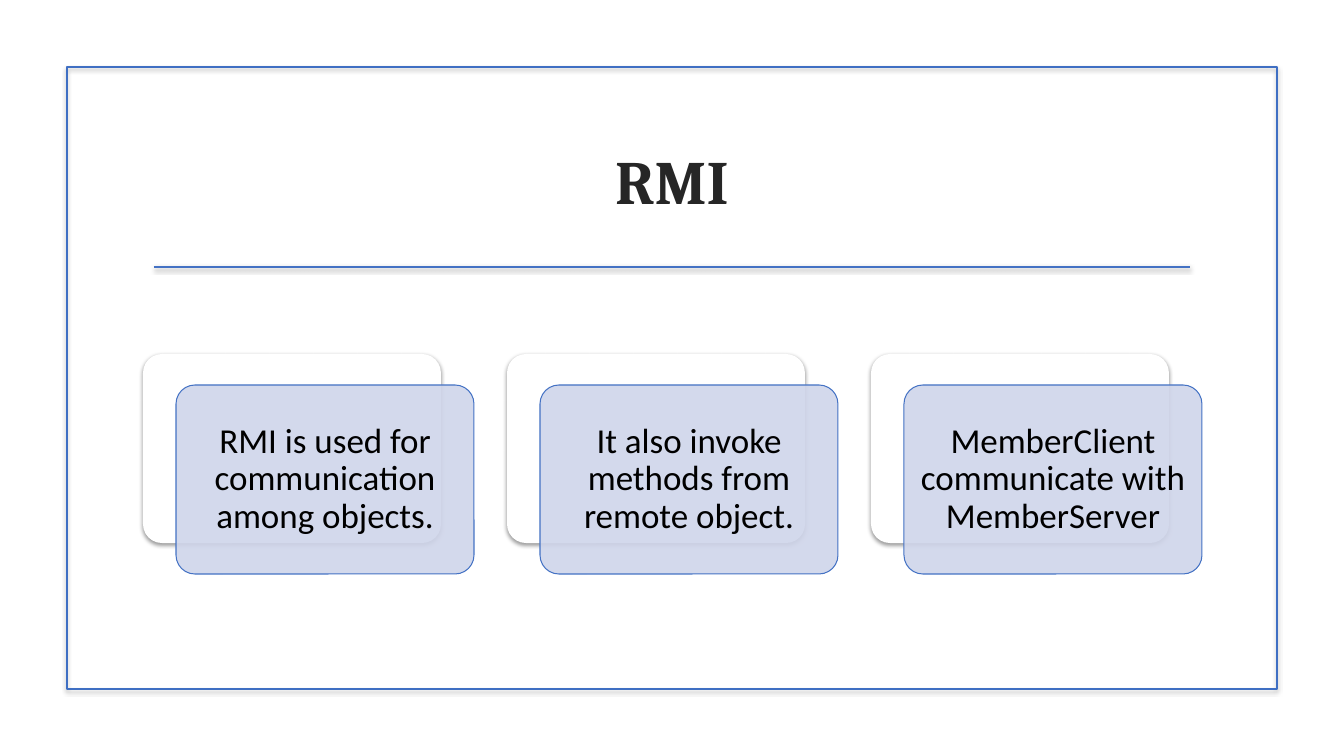
from lxml import etree
from pptx import Presentation
from pptx import util as u
from pptx.dml.color import RGBColor
from pptx.enum import shapes, text
from pptx.oxml import ns

BLUE = "4472C4"


def rgb(value):
    return RGBColor.from_string(value)


class Deck:
    """Holds the style and the current slide, with lengths in px."""

    SCALE = 914400 / 100.8
    BODY, HEADING = "Calibri", "Cambria"

    def __init__(self, width, height):
        self.prs = Presentation()
        self.prs.slide_width, self.prs.slide_height = self.px(width, height)
        self.s = self.prs.slides.add_slide(self.prs.slide_layouts[6])

    def px(self, *lengths):
        return [u.Emu(round(n * self.SCALE)) for n in lengths]

    def add(self, parent, tag, **attrs):
        return etree.SubElement(parent, ns.qn(tag), attrs)

    def stroke(self, sp, color, width):
        sp.line.color.rgb = rgb(color)
        sp.line.width = u.Pt(width)

    def shadow(self, sp, alpha, dist):
        sp_pr = sp._element.spPr
        effects = sp_pr.find(ns.qn("a:effectLst"))
        if effects is None:
            effects = self.add(sp_pr, "a:effectLst")
        outer = self.add(effects, "a:outerShdw", blurRad=str(u.Pt(3.1)),
                         dist=str(u.Pt(dist)), dir="5400000",
                         algn="ctr", rotWithShape="0")
        color = self.add(outer, "a:srgbClr", val="000000")
        self.add(color, "a:alpha", val=str(alpha * 1000))

    def box(self, kind, at, fill=None, alpha=100, line=None, width=0.75):
        sp = self.s.shapes.add_shape(kind, *self.px(*at))
        sp.shadow.inherit = False
        if fill:
            sp.fill.solid()
            sp.fill.fore_color.rgb = rgb(fill)
            if alpha < 100:
                color = sp._element.spPr.find(".//" + ns.qn("a:srgbClr"))
                self.add(color, "a:alpha", val=str(alpha * 1000))
        else:
            sp.fill.background()
        if line:
            self.stroke(sp, line, width)
        else:
            sp.line.fill.background()
        return sp

    def card(self, at, **style):
        sp = self.box(shapes.MSO_SHAPE.ROUNDED_RECTANGLE, at, **style)
        sp.adjustments[0] = 0.1
        return sp

    def rule(self, x1, y1, x2, y2, color, width):
        sp = self.s.shapes.add_connector(shapes.MSO_CONNECTOR.STRAIGHT,
                                         *self.px(x1, y1, x2, y2))
        self.stroke(sp, color, width)
        return sp

    def label(self, sp, words, size, color, font, bold=False, spacing=1.0):
        tf = sp.text_frame
        tf.word_wrap = True
        tf.vertical_anchor = text.MSO_ANCHOR.MIDDLE
        inset, = self.px(10)
        tf.margin_left = tf.margin_right = inset
        tf.margin_top = tf.margin_bottom = inset
        p = tf.paragraphs[0]
        p.alignment = text.PP_ALIGN.CENTER
        p.line_spacing = spacing
        r = p.add_run()
        r.text = words
        r.font.name, r.font.size, r.font.bold = font, u.Pt(size), bold
        r.font.color.rgb = rgb(color)

    def title(self, at, words):
        sp = self.s.shapes.add_textbox(*self.px(*at))
        self.label(sp, words, 44, "262626", self.HEADING, bold=True)


def main():
    deck = Deck(1344, 756)
    frame = deck.box(shapes.MSO_SHAPE.RECTANGLE, (67, 67, 1210, 622),
                     line="3F6FC3", width=1.25)
    deck.shadow(frame, 35, 1.8)
    divider = deck.rule(154, 267, 1190, 267, BLUE, 1.25)
    deck.shadow(divider, 38, 1.6)
    deck.title((143, 108, 1058, 144), "RMI")

    points = ["RMI is used for communication among objects.",
              "It also invoke methods from remote object.",
              "MemberClient communicate with MemberServer"]
    left, top, width, height, pitch = 143, 354, 298, 189, 364
    for i, point in enumerate(points):
        x = left + i * pitch
        back = deck.card((x, top, width, height), fill="FFFFFF")
        deck.shadow(back, 38, 1.6)
        front = deck.card((x + 33, top + 31, width, height),
                          fill="CFD5EA", alpha=90, line=BLUE)
        deck.label(front, point, 25, "000000", deck.BODY, spacing=0.9)

    deck.prs.save("out.pptx")


if __name__ == "__main__":
    main()
